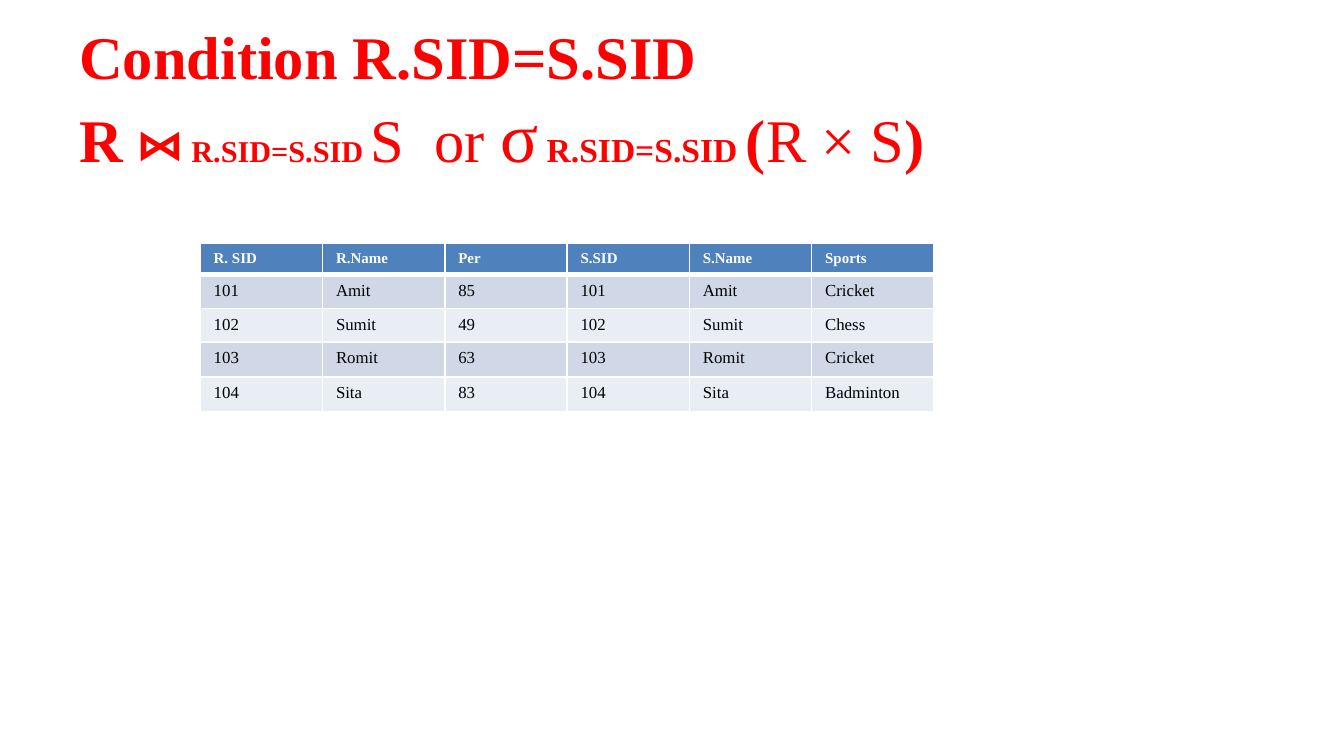
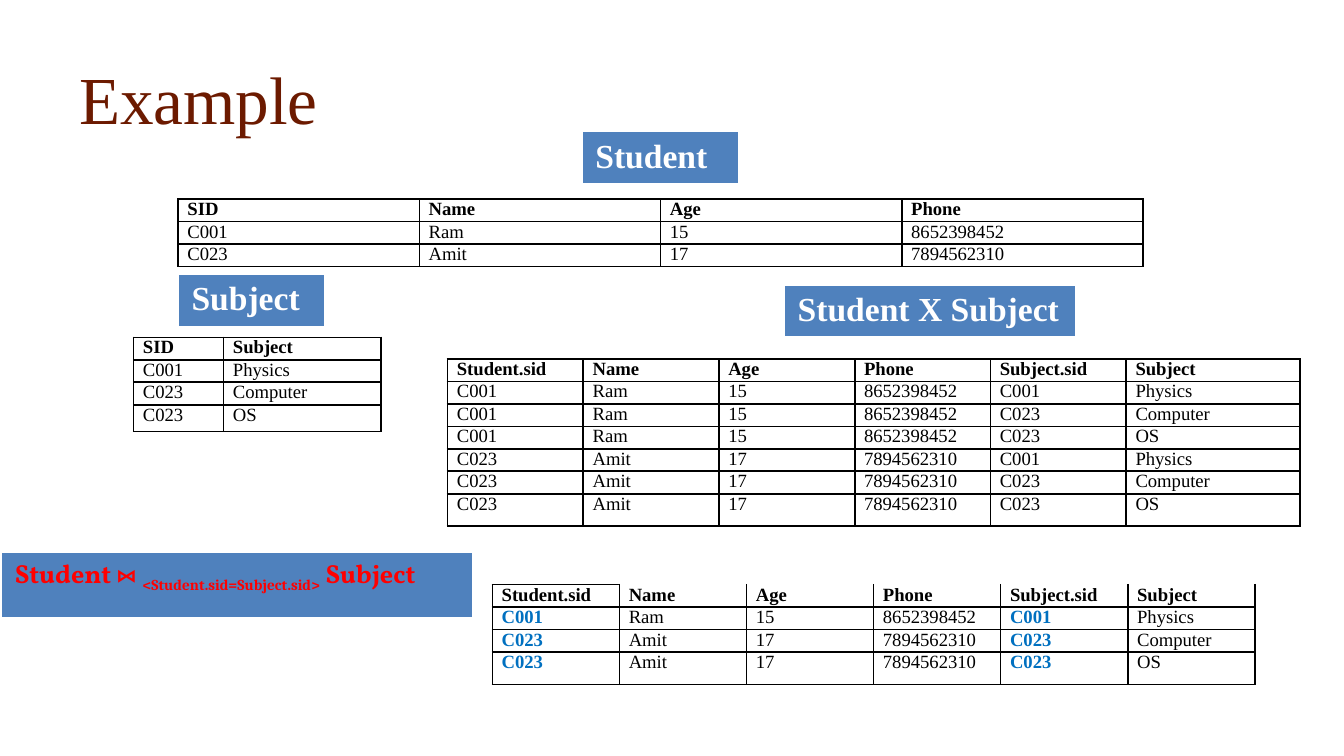
from itertools import product

from lxml.etree import SubElement
from pptx import Presentation
from pptx.dml.color import RGBColor
from pptx.enum.text import MSO_ANCHOR
from pptx.oxml.ns import qn
from pptx.util import Inches, Pt

# Shared look: a square grid of 100 columns across the slide
RED, BROWN, BLUE, LINK = "FF0000", "6C1A00", "4F81BD", "0070C0"
WHITE, BLACK, BANDS = "FFFFFF", "000000", ("D0D8E8", "E9EDF4")
SERIF = "Times New Roman"
BLACK_LINES = {side: (BLACK, 1) for side in "LRTB"}
WHITE_LINES = {side: (WHITE, 1) for side in "LRTB"}
HEADER_LINES = {**WHITE_LINES, "B": (WHITE, 3)}

presentation = Presentation()
presentation.slide_width = Inches(10)
presentation.slide_height = presentation.slide_width * 9 // 16
UNIT = presentation.slide_width // 100


def write(paragraph, runs, size, color, bold=False):
    """Set the paragraph font, then add (text, font settings) runs."""
    font = paragraph.font
    font.name, font.size, font.bold = SERIF, Pt(size), bold
    font.color.rgb = RGBColor.from_string(color)
    for text, settings in runs:
        if text == "\n":
            paragraph.add_line_break()
            continue
        run = paragraph.add_run()
        run.text = text
        run.font.name = SERIF
        for name, value in settings.items():
            if name == "baseline":
                run.font._element.set(name, str(value))
            else:
                setattr(run.font, name, value)
    # The paragraph mark takes the same font, so that it does not stretch the line
    mark = SubElement(paragraph._p, qn("a:endParaRPr"), sz=str(int(size * 100)))
    SubElement(mark, qn("a:latin"), typeface=SERIF)


def add_table(slide, left, top, columns, rows, cells, style, margins=None, spacing=None):
    """Add a table in grid units; style(row, column) gives fill, lines, size, color, bold."""
    frame = slide.shapes.add_table(
        len(rows), len(columns), int(left * UNIT), int(top * UNIT),
        int(sum(columns) * UNIT), int(sum(rows) * UNIT))
    table = frame.table
    table.first_row = table.horz_banding = False
    for column, width in zip(table.columns, columns):
        column.width = int(width * UNIT)
    for row, height in zip(table.rows, rows):
        row.height = int(height * UNIT)
    for row, values in enumerate(cells):
        for column, value in enumerate(values):
            cell = table.cell(row, column)
            fill, lines, size, color, bold = style(row, column)
            cell.fill.solid()
            cell.fill.fore_color.rgb = RGBColor.from_string(fill)
            if margins is not None:
                cell.margin_left = cell.margin_right = int(margins * UNIT)
                cell.margin_top = cell.margin_bottom = 0
            paragraph = cell.text_frame.paragraphs[0]
            if spacing is not None:
                paragraph.space_before = paragraph.space_after = Pt(spacing)
            runs = [(value, {})] if isinstance(value, str) else value
            write(paragraph, runs, size, color, bold)
            properties = cell._tc.get_or_add_tcPr()
            for index, (side, (line_color, width)) in enumerate(lines.items()):
                line = SubElement(properties, qn(f"a:ln{side}"), w=str(int(Pt(width))))
                SubElement(SubElement(line, qn("a:solidFill")), qn("a:srgbClr"), val=line_color)
                properties.insert(index, line)


# Titles of both slides
condition_title = [
    ("Condition R.SID=S.SID", {"bold": True}),
    ("\n", {}),
    ("R\u00a0⋈", {"bold": True}),
    (" ", {"size": Pt(16.2)}),
    ("R.SID=S.SID ", {"size": Pt(16.2), "bold": True}),
    ("S  or ", {}),
    ("σ", {"size": Pt(37.8)}),
    (" R.SID=S.SID ", {"size": Pt(18), "bold": True}),
    ("(", {"bold": True}),
    ("R × S", {}),
    (")", {"bold": True}),
]
slides = []
for runs, size, color in ((condition_title, 32.4, RED), ([("Example", {})], 36, BROWN)):
    slide = presentation.slides.add_slide(presentation.slide_layouts[6])
    slides.append(slide)
    title = slide.shapes.add_textbox(
        int(4.9 * UNIT), int(3.1 * UNIT), int(90.2 * UNIT), int(8.4 * UNIT))
    title_frame = title.text_frame
    title_frame.word_wrap = True
    title_frame.vertical_anchor = MSO_ANCHOR.MIDDLE
    write(title_frame.paragraphs[0], runs, size, color)
condition_slide, example_slide = slides

# Slide 1: result of the conditional join
add_table(
    condition_slide, 14.9, 18.1, [9.1] * 6, [2.2, 2.1, 1.6, 2.6, 2.6],
    [("R. SID", "R.Name", "Per", "S.SID", "S.Name", "Sports"),
     ("101", "Amit", "85", "101", "Amit", "Cricket"),
     ("102", "Sumit", "49", "102", "Sumit", "Chess"),
     ("103", "Romit", "63", "103", "Romit", "Cricket"),
     ("104", "Sita", "83", "104", "Sita", "Badminton")],
    lambda row, column: (BANDS[(row - 1) % 2], WHITE_LINES, 9, BLACK, False)
    if row else (BLUE, HEADER_LINES, 8, WHITE, True))

# Slide 2: two relations, their product and their join
students = [("C001", "Ram", "15", "8652398452"), ("C023", "Amit", "17", "7894562310")]
subjects = [("C001", "Physics"), ("C023", "Computer"), ("C023", "OS")]
pairs = [student + subject for student, subject in product(students, subjects)]
matches = [pair for pair in pairs if pair[0] == pair[4]]
pair_header = ("Student.sid", "Name", "Age", "Phone", "Subject.sid", "Subject")
OPEN_TOP = {side: line for side, line in BLACK_LINES.items() if side != "T"}


def plain_style(row, column):
    """Style of a ruled table with a bold header."""
    return WHITE, BLACK_LINES, 10, BLACK, row == 0


relations = [
    (13.25, 14.8, [17.95] * 4, [1.7, 1.5, 1.5],
     [("SID", "Name", "Age", "Phone")] + students, plain_style, 6),
    (9.94, 25.1, [6.7, 11.7], [1.5] * 3 + [2],
     [("SID", "Subject")] + subjects, plain_style, 6),
    (33.3, 26.7, [10.1] * 5 + [12.95], [1.5] * 6 + [2.4],
     [pair_header] + pairs, plain_style, None),
    (36.63, 43.5, [9.46] * 6, [1.5] * 3 + [2.4], [pair_header] + matches,
     lambda row, column: (
         WHITE, OPEN_TOP if row == 0 and column else BLACK_LINES, 10,
         LINK if row and column in (0, 4) else BLACK, row == 0 or column in (0, 4)), 6),
]
for left, top, columns, rows, cells, style, spacing in relations:
    add_table(example_slide, left, top, columns, rows, cells, style, 0.7, spacing)

for left, top, width, label in (
        (43.3, 9.8, 11.7, "Student"),
        (13.25, 20.4, 10.9, "Subject"),
        (58.35, 21.2, 21.7, "Student X Subject")):
    add_table(example_slide, left, top, [width], [3.3], [[label]],
              lambda row, column: (BLUE, HEADER_LINES, 18, WHITE, True))

join_formula = [
    ("Student\u00a0", {"name": "Vollkorn"}),
    ("⋈\u00a0", {"name": "Cambria"}),
    ("<Student.sid=Subject.sid>", {"name": "Cambria", "baseline": -25000}),
    ("\u00a0Subject", {"name": "Vollkorn"}),
]
add_table(example_slide, 0.1, 41.1, [35.1], [5], [[join_formula]],
          lambda row, column: (BLUE, HEADER_LINES, 14, RED, True), spacing=6)

presentation.save("out.pptx")
